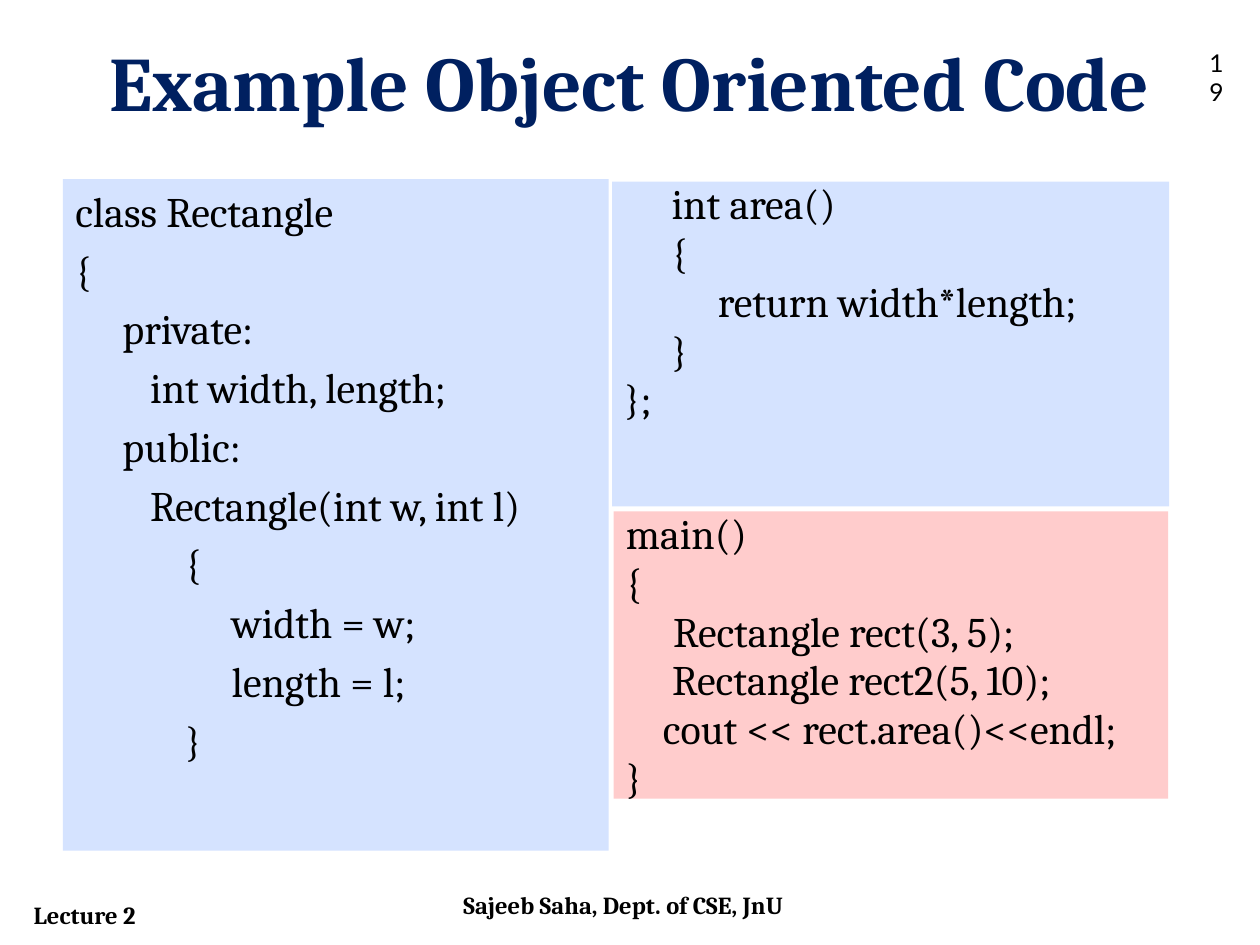
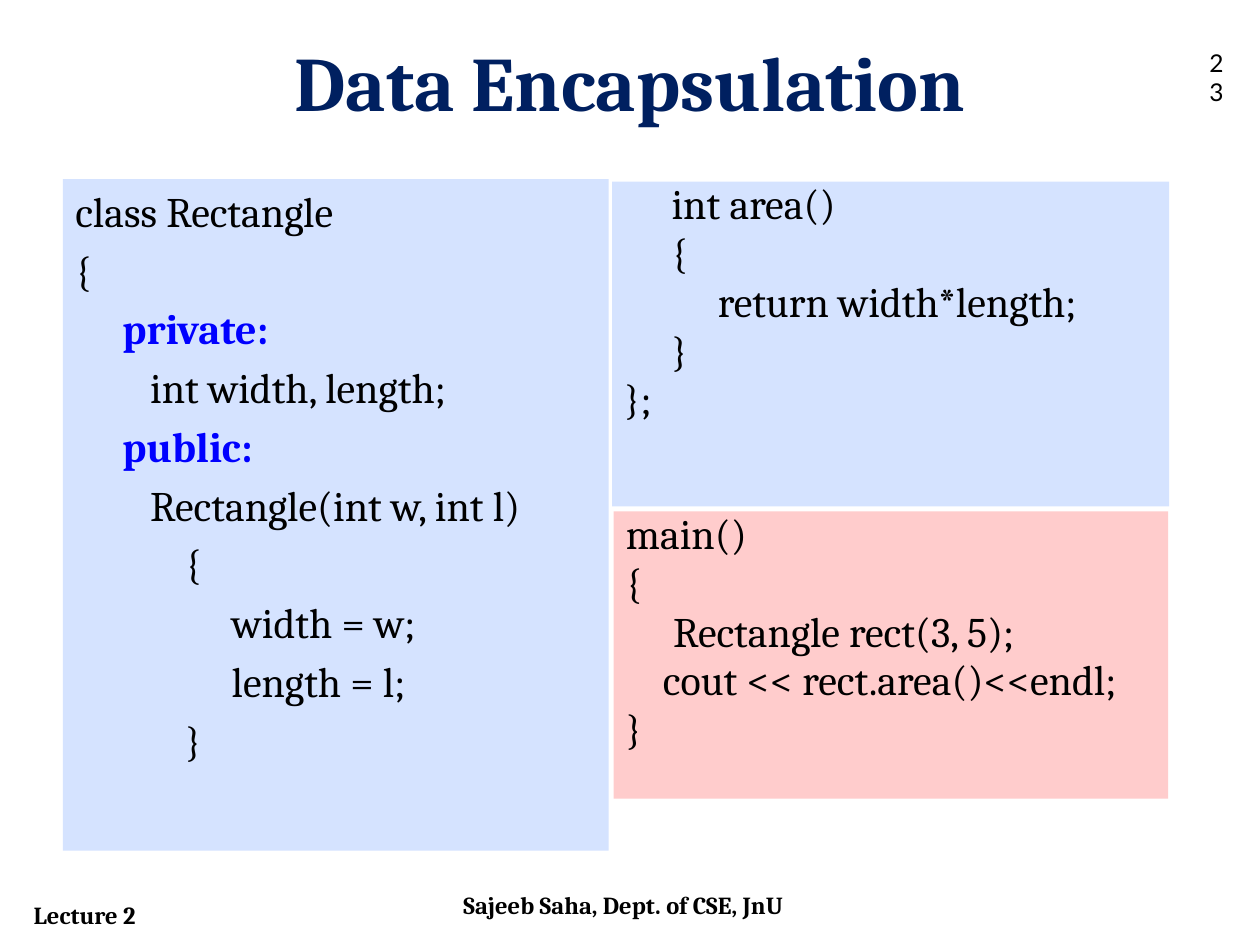
import pptx
import pptx.util
import pptx.dml.color
import pptx.enum.shapes
import pptx.enum.text

Cm, Pt = pptx.util.Cm, pptx.util.Pt
ALIGN = pptx.enum.text.PP_ALIGN
RECT = pptx.enum.shapes.MSO_SHAPE.RECTANGLE

HEX = {"ink": "000000", "navy": "002060", "key": "0000FF",
       "blue": "D5E3FF", "pink": "FFCCCC"}

CLASS = [
    "class Rectangle",
    "{",
    "\tprivate:",
    "\t   int width, length;",
    "\tpublic:",
    "\t   Rectangle(int w, int l)",
    "\t\t{",
    "\t\t     width = w;",
    "\t\t     length = l;",
    "\t\t}",
]
AREA = ["\tint area()", "\t{", "\t     return width*length;", "\t}", "};"]
START = ["main()", "{", "\tRectangle rect(3, 5);"]
SECOND = ["     Rectangle rect2(5, 10);"]
END = ["    cout << rect.area()<<endl;", "}"]

SLIDES = [
    {"title": "Example Object Oriented Code", "page": "19",
     "main": START + SECOND + END, "keys": ()},
    {"title": "Data Encapsulation", "page": "23",
     "main": START + END, "keys": ("private:", "public:")},
]
LECTURE = "Lecture 2"
AUTHOR = "Sajeeb Saha, Dept. of CSE, JnU"

# left, top, width, height in centimetres
PLACE = {
    "lecture": (0.43, 18.01, 5.08, 0.86),
    "page": (24.13, 0.84, 1.07, 1.02),
    "class": (1.27, 3.61, 11, 13.54),
    "main": (12.37, 10.31, 11.18, 5.79),
    "area": (12.34, 3.66, 11.23, 6.55),
    "author": (9.09, 17.81, 7.19, 1.02),
    "title": (1.27, 0.58, 22.86, 1.73),
}
CODE = {"name": "Cambria", "size": Pt(24), "bold": False}
FOOT = {"name": "Cambria", "size": Pt(14), "bold": True}
PAGE = {"name": "Lato", "size": Pt(14), "bold": False}
TITLE = {"name": "Cambria", "size": Pt(44), "bold": True}
HANG = Cm(0.95)
GAP = Pt(4.8)


def color(name):
    return pptx.dml.color.RGBColor.from_string(HEX[name])


def spot(name):
    return [Cm(part) for part in PLACE[name]]


def write(para, text, form, tint="ink"):
    run = para.add_run()
    run.text = text
    for key, value in form.items():
        setattr(run.font, key, value)
    run.font.color.rgb = color(tint)


def label(slide, name, text, form, tint="ink", align=ALIGN.LEFT):
    frame = slide.shapes.add_textbox(*spot(name)).text_frame
    frame.word_wrap = True
    para = frame.paragraphs[0]
    para.alignment = align
    write(para, text, form, tint)
    return frame


def panel(slide, name, lines, fill, pitch=None, keys=()):
    """Draw a filled box of code, with the lines in keys stressed."""
    box = slide.shapes.add_shape(RECT, *spot(name))
    box.shadow.inherit = False
    box.fill.solid()
    box.fill.fore_color.rgb = color(fill)
    box.line.fill.background()
    frame = box.text_frame
    frame.word_wrap = True
    frame.vertical_anchor = pptx.enum.text.MSO_ANCHOR.TOP
    for row, line in enumerate(lines):
        para = frame.add_paragraph() if row else frame.paragraphs[0]
        para.alignment = ALIGN.LEFT
        para.line_spacing = pitch
        para.space_before = GAP if row else None
        props = para._p.get_or_add_pPr()
        props.set("marL", str(int(HANG)))
        props.set("indent", str(-int(HANG)))
        word = line.lstrip()
        if word in keys:
            write(para, line[:-len(word)], CODE)
            write(para, word, CODE | {"bold": True}, "key")
        else:
            write(para, line, CODE)


def main():
    deck = pptx.Presentation()
    deck.slide_width, deck.slide_height = Cm(25.4), Cm(19.05)
    for page in SLIDES:
        slide = deck.slides.add_slide(deck.slide_layouts[6])
        frame = label(slide, "lecture", LECTURE, FOOT)
        frame.auto_size = pptx.enum.text.MSO_AUTO_SIZE.SHAPE_TO_FIT_TEXT
        label(slide, "page", page["page"], PAGE)
        panel(slide, "class", CLASS, "blue", keys=page["keys"])
        panel(slide, "main", page["main"], "pink", 0.8)
        panel(slide, "area", AREA, "blue", 0.8)
        label(slide, "author", AUTHOR, FOOT)
        label(slide, "title", page["title"], TITLE, "navy", ALIGN.CENTER)
    deck.save("out.pptx")


if __name__ == "__main__":
    main()
